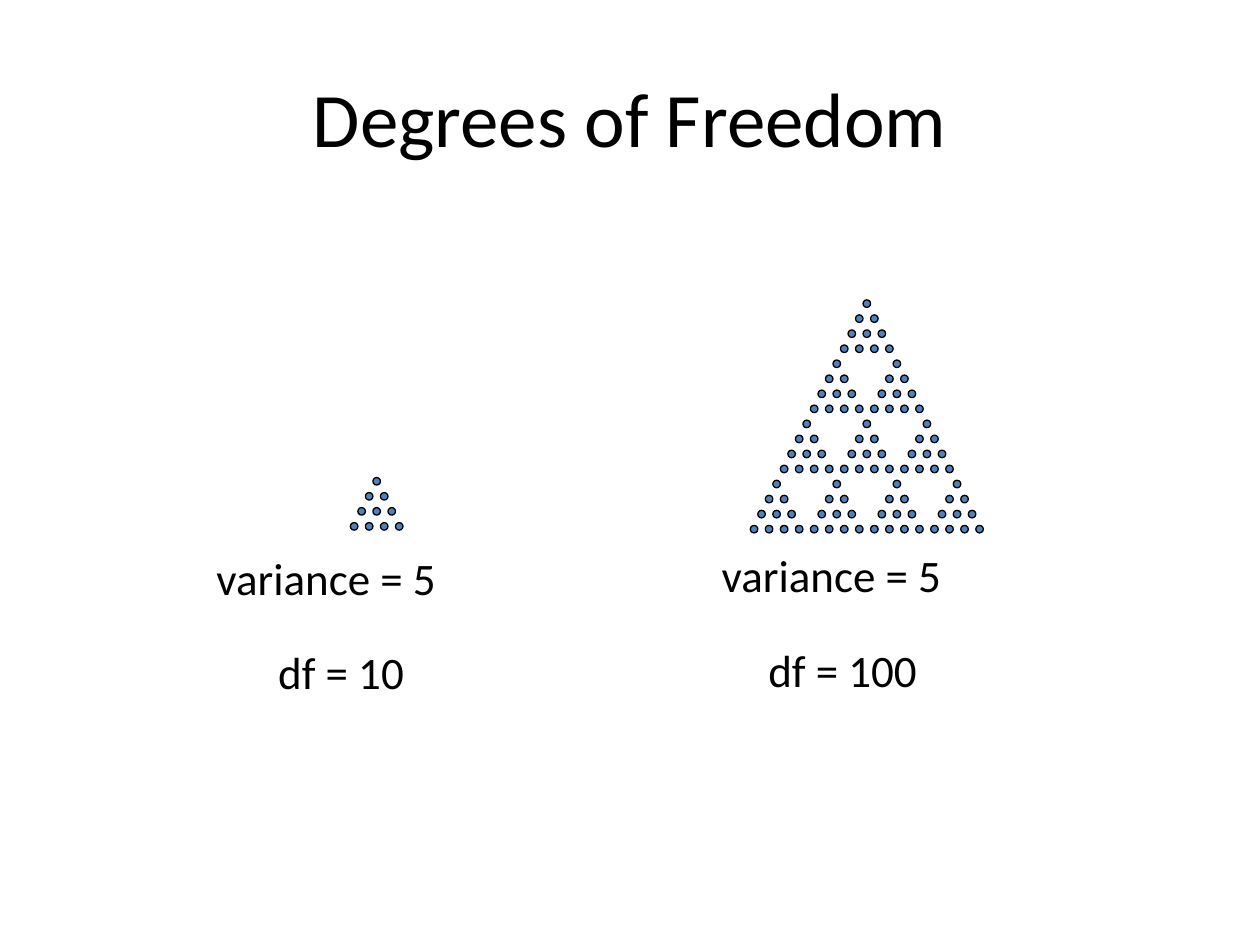
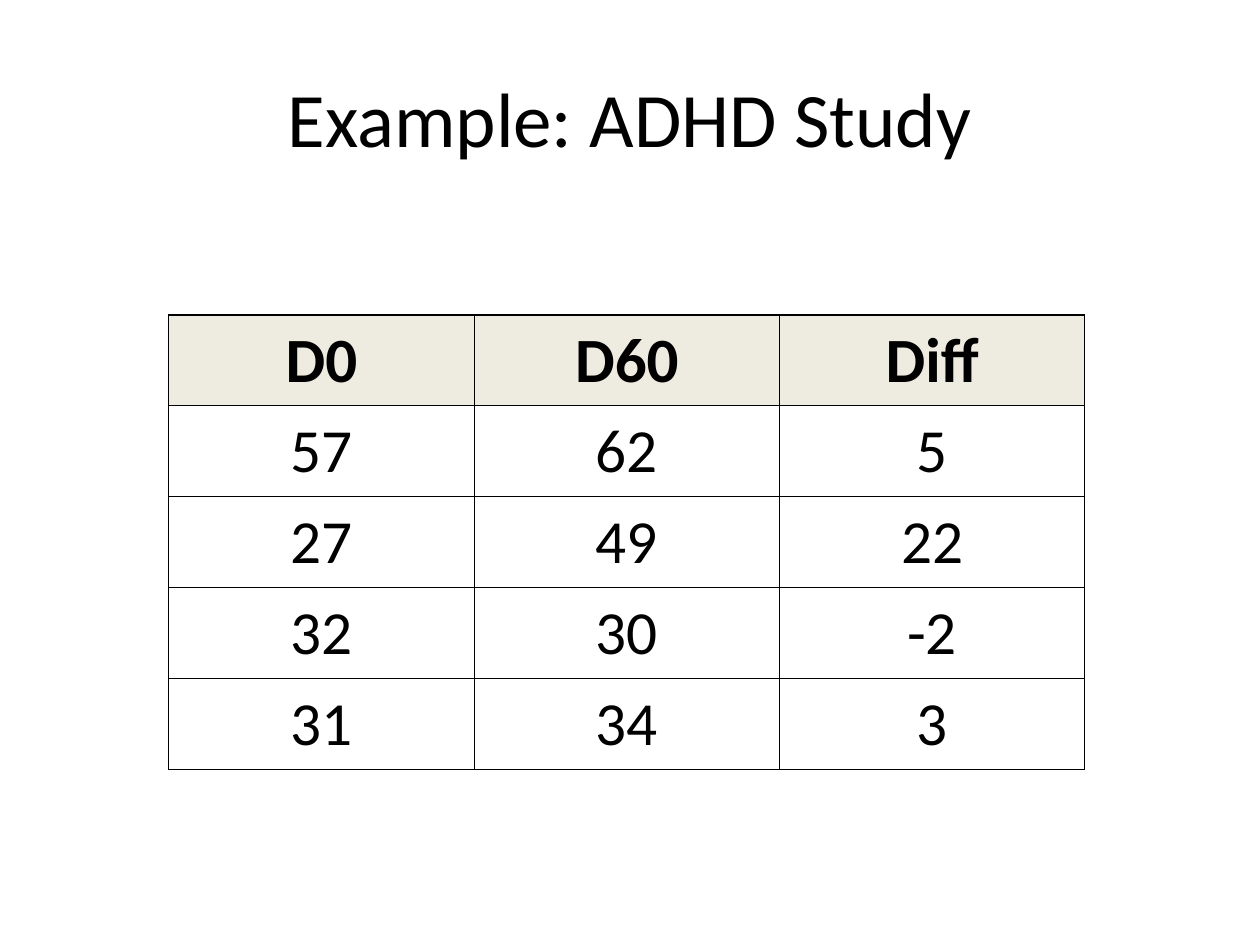
"""Build two statistics slides: degrees of freedom and an ADHD study table."""
import lxml.etree
import pptx
import pptx.dml.color
import pptx.enum.shapes
import pptx.enum.text
import pptx.oxml.ns
import pptx.util

Inches = pptx.util.Inches
Pt = pptx.util.Pt
RGBColor = pptx.dml.color.RGBColor
PP_ALIGN = pptx.enum.text.PP_ALIGN
MSO_ANCHOR = pptx.enum.text.MSO_ANCHOR
MSO_AUTO_SIZE = pptx.enum.text.MSO_AUTO_SIZE

FONT = "Calibri"
BLACK = RGBColor(0x00, 0x00, 0x00)
DOT_BLUE = RGBColor(0x4F, 0x81, 0xBD)
HEADER_BEIGE = RGBColor(0xEE, 0xEC, 0xE1)

LINE_WIDTH = Pt(0.75)
DOT_SIZE = 0.06
CLUSTER_ROWS = 4
DOT_STEP = 1.79 / 15
CLUSTER_STEP = CLUSTER_ROWS * DOT_STEP

STUDY_ROWS = [
    ("D0", "D60", "Diff"),
    ("57", "62", "5"),
    ("27", "49", "22"),
    ("32", "30", "-2"),
    ("31", "34", "3"),
]


def write_text(text_frame, text, size, bold=False, align=PP_ALIGN.LEFT):
    """Write one formatted paragraph into a text frame."""
    paragraph = text_frame.paragraphs[0]
    paragraph.alignment = align
    run = paragraph.add_run()
    run.text = text
    run.font.name = FONT
    run.font.size = Pt(size)
    run.font.bold = bold
    run.font.color.rgb = BLACK


def add_titled_slide(presentation, title):
    """Add a blank slide with a centred title."""
    slide = presentation.slides.add_slide(presentation.slide_layouts[6])
    box = slide.shapes.add_textbox(Inches(0.5), Inches(0.3), Inches(9), Inches(1.25))
    box.text_frame.word_wrap = True
    box.text_frame.vertical_anchor = MSO_ANCHOR.MIDDLE
    write_text(box.text_frame, title, 44, align=PP_ALIGN.CENTER)
    return slide


def add_label(slide, text, left, top, width):
    """Add a single-line label that fits its text."""
    box = slide.shapes.add_textbox(Inches(left), Inches(top), Inches(width), Inches(0.53))
    box.text_frame.word_wrap = False
    box.text_frame.auto_size = MSO_AUTO_SIZE.SHAPE_TO_FIT_TEXT
    write_text(box.text_frame, text, 25.7)


def pyramid_points(apex_left, apex_top, step):
    """Yield the positions in a pyramid whose rows grow by one item."""
    for row in range(CLUSTER_ROWS):
        for column in range(row + 1):
            yield apex_left + (column - row / 2) * step, apex_top + row * step


def add_cluster(slide, apex_left, apex_top):
    """Add a grouped pyramid of ten dots."""
    group = slide.shapes.add_group_shape()
    for left, top in pyramid_points(apex_left, apex_top, DOT_STEP):
        dot = group.shapes.add_shape(
            pptx.enum.shapes.MSO_SHAPE.OVAL,
            Inches(left), Inches(top), Inches(DOT_SIZE), Inches(DOT_SIZE),
        )
        dot.shadow.inherit = False
        dot.fill.solid()
        dot.fill.fore_color.rgb = DOT_BLUE
        dot.line.color.rgb = BLACK
        dot.line.width = LINE_WIDTH


def set_borders(cell):
    """Draw a thin black line on all four sides of a cell."""
    properties = cell._tc.get_or_add_tcPr()
    qn = pptx.oxml.ns.qn
    for side in ("a:lnL", "a:lnR", "a:lnT", "a:lnB"):
        line = lxml.etree.SubElement(properties, qn(side), w=str(LINE_WIDTH))
        fill = lxml.etree.SubElement(line, qn("a:solidFill"))
        lxml.etree.SubElement(fill, qn("a:srgbClr"), val=str(BLACK))


def format_cell(cell, text, is_header):
    """Fill, border and write one table cell."""
    set_borders(cell)
    if is_header:
        cell.fill.solid()
        cell.fill.fore_color.rgb = HEADER_BEIGE
    else:
        cell.fill.background()
    cell.vertical_anchor = MSO_ANCHOR.MIDDLE
    cell.margin_left = cell.margin_right = Inches(0.06)
    cell.margin_top = cell.margin_bottom = Inches(0.03)
    write_text(cell.text_frame, text, 36 if is_header else 35,
               bold=is_header, align=PP_ALIGN.CENTER)


def add_study_table(slide, rows):
    """Add a table whose first row is the header."""
    table = slide.shapes.add_table(
        len(rows), len(rows[0]), Inches(1.34), Inches(2.5), Inches(7.27), Inches(3.61)
    ).table
    table.horz_banding = False
    for row_index, values in enumerate(rows):
        for column_index, value in enumerate(values):
            format_cell(table.cell(row_index, column_index), value, row_index == 0)


def build_freedom_slide(presentation):
    """Compare a small sample with a large one of equal variance."""
    slide = add_titled_slide(presentation, "Degrees of Freedom")
    for left, top in pyramid_points(6.85, 2.38, CLUSTER_STEP):
        add_cluster(slide, left, top)
    add_cluster(slide, 2.96, 3.79)
    add_label(slide, "variance = 5", 1.62, 4.32, 1.96)
    add_label(slide, "variance = 5", 5.63, 4.3, 1.96)
    add_label(slide, "df = 10", 2.11, 5.07, 1.21)
    add_label(slide, "df = 100", 6, 5.05, 1.39)


def build_study_slide(presentation):
    """Show the study scores and their differences."""
    slide = add_titled_slide(presentation, "Example: ADHD Study")
    add_study_table(slide, STUDY_ROWS)


def main():
    """Create and save the presentation."""
    presentation = pptx.Presentation()
    presentation.slide_width = Inches(10)
    presentation.slide_height = Inches(7.5)
    build_freedom_slide(presentation)
    build_study_slide(presentation)
    presentation.save("out.pptx")


if __name__ == "__main__":
    main()
